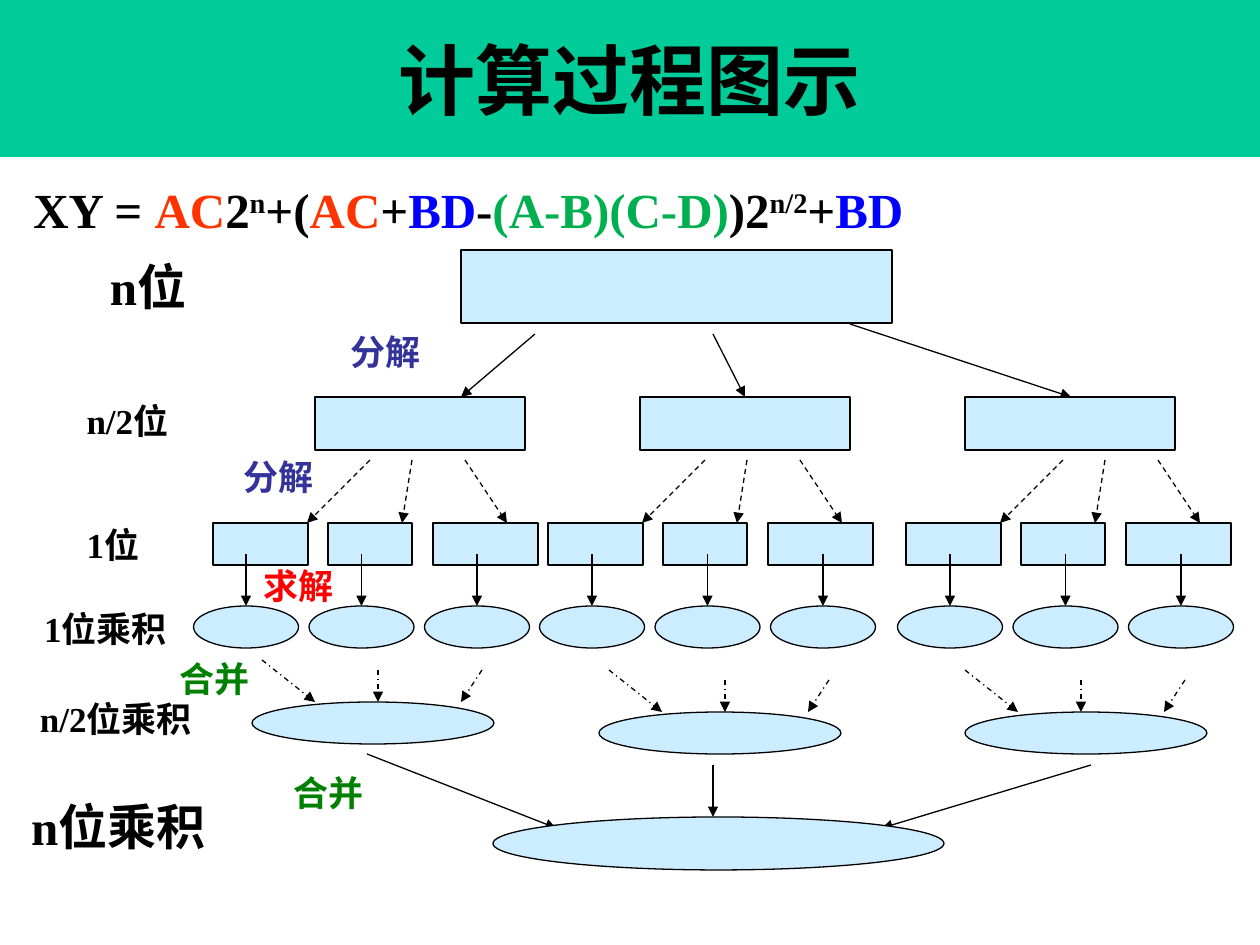
from pptx import Presentation
from pptx.dml.color import RGBColor
from pptx.enum.dml import MSO_LINE
from pptx.enum.shapes import MSO_CONNECTOR, MSO_SHAPE
from pptx.enum.text import MSO_ANCHOR, PP_ALIGN
from pptx.oxml.ns import qn
from pptx.util import Emu, Pt
from lxml import etree

RECT, OVAL = MSO_SHAPE.RECTANGLE, MSO_SHAPE.OVAL
STRAIGHT = MSO_CONNECTOR.STRAIGHT
DASH, DOT = MSO_LINE.DASH, MSO_LINE.DASH_DOT
CENTER, LEFT = PP_ALIGN.CENTER, PP_ALIGN.LEFT
MIDDLE = MSO_ANCHOR.MIDDLE

BLACK = RGBColor(0x00, 0x00, 0x00)
TEAL = RGBColor(0x00, 0xCC, 0x99)
SKY = RGBColor(0xCC, 0xEC, 0xFF)
INDIGO = RGBColor(0x33, 0x33, 0x99)
GREEN = RGBColor(0x00, 0x80, 0x00)
LIME = RGBColor(0x00, 0xB0, 0x50)
RED = RGBColor(0xFF, 0x00, 0x00)
ORANGE = RGBColor(0xFF, 0x33, 0x00)
BLUE = RGBColor(0x00, 0x00, 0xFF)

SERIF, SANS = "Times New Roman", "Noto Sans CJK SC"
SCALE = 914400 / 126

TITLE = "计算过程图示"
FORMULA = [
    ("XY = ", BLACK, 0), ("AC", ORANGE, 0), ("2", BLACK, 0), ("n", BLACK, 30),
    ("+(", BLACK, 0), ("AC", ORANGE, 0), ("+", BLACK, 0), ("BD", BLUE, 0),
    ("-", BLACK, 0), ("(A-B)(C-D)", LIME, 0), (")2", BLACK, 0),
    ("n/2", BLACK, 30), ("+", BLACK, 0), ("BD", BLUE, 0),
]
LEVELS = [
    ("n位", (69, 250, 158, 72), 28),
    ("n/2位", (38, 393, 179, 55), 20),
    ("1位", (18, 517, 190, 55), 20),
    ("1位乘积", (-1, 601, 213, 55), 20),
    ("n/2位乘积", (-5, 691, 242, 55), 20),
    ("n位乘积", (8, 790, 220, 72), 28),
]
STEPS = [
    ("分解", (307, 324, 158, 55), INDIGO),
    ("分解", (200, 449, 158, 55), INDIGO),
    ("求解", (223, 558, 152, 55), RED),
    ("合并", (144, 651, 142, 55), GREEN),
    ("合并", (192, 765, 273, 55), GREEN),
]

ROOT = (461, 250, 431, 73)
SPLITS = [(535, 334, 461, 397), (713, 334, 745, 397), (850, 324, 1071, 397)]
HALVES = [(315 + 325 * i, 397, 210, 53) for i in range(3)]

UNIT_LEFTS = [213, 548, 906]
UNITS = [(0, 95), (115, 84), (220, 105)]
UNIT_SPLITS = [(157, 94), (199, 189), (252, 294)]

SOLVE_MIDS = [246, 592, 950]
SOLVE_STEP = 115.5

MERGES = [(262, 702, -10), (609, 712, -10), (965, 712, 0)]
MERGE_LINES = [(0, 42, 53), (116, 32, 116), (220, 32, 199)]

JOINS = [(367, 754, 556, 828), (713, 765, 713, 817), (1091, 765, 882, 828)]
RESULT = (493, 817, 451, 53)


def px(*vals):
    return [Emu(round(v * SCALE)) for v in vals]


def add_run(para, text, size, color, font=SERIF, base=0):
    run = para.add_run()
    run.text = text
    run.font.size = Pt(size)
    run.font.bold = True
    run.font.name = font
    run.font.color.rgb = color
    props = run._r.get_or_add_rPr()
    etree.SubElement(props, qn("a:ea")).set("typeface", SANS)
    if base:
        props.set("baseline", str(base * 1000))


def add_text(slide, box, runs, size, font=SERIF, align=CENTER):
    frame = slide.shapes.add_textbox(*px(*box)).text_frame
    frame.word_wrap = True
    para = frame.paragraphs[0]
    para.alignment = align
    for text, color, base in runs:
        add_run(para, text, size, color, font, base)


def add_node(slide, kind, box):
    node = slide.shapes.add_shape(kind, *px(*box))
    node.shadow.inherit = False
    node.fill.solid()
    node.fill.fore_color.rgb = SKY
    node.line.color.rgb = BLACK
    node.line.width = Pt(0.75)


def add_arrow(slide, ends, dash=None):
    arrow = slide.shapes.add_connector(STRAIGHT, *px(*ends))
    arrow.line.color.rgb = BLACK
    arrow.line.width = Pt(0.75)
    if dash:
        arrow.line.dash_style = dash
    props = arrow._element.spPr
    etree.SubElement(props.find(qn("a:ln")), qn("a:tailEnd")).set("type", "triangle")
    etree.SubElement(props, qn("a:effectLst"))


def add_title(slide):
    band = slide.shapes.add_shape(RECT, *px(0, 0, 1260, 157))
    band.shadow.inherit = False
    band.fill.solid()
    band.fill.fore_color.rgb = TEAL
    band.line.fill.background()
    band.text_frame.vertical_anchor = MIDDLE
    para = band.text_frame.paragraphs[0]
    para.alignment = CENTER
    add_run(para, TITLE, 44, BLACK)


def add_splits(slide):
    add_node(slide, RECT, ROOT)
    for ends in SPLITS:
        add_arrow(slide, ends)
    for box in HALVES:
        add_node(slide, RECT, box)
    for left in UNIT_LEFTS:
        for start, end in UNIT_SPLITS:
            add_arrow(slide, (left + start, 460, left + end, 523), DASH)
        for shift, width in UNITS:
            add_node(slide, RECT, (left + shift, 523, width, 42))


def add_merges(slide):
    for left, top, shift in MERGES:
        add_node(slide, OVAL, (left + shift, top, 242, 42))
        for start, rise, end in MERGE_LINES:
            add_arrow(slide, (left + start, top - rise, left + end, top), DOT)
    for ends in JOINS:
        add_arrow(slide, ends)
    add_node(slide, OVAL, RESULT)


def add_solves(slide):
    for first in SOLVE_MIDS:
        for i in range(3):
            mid = first + SOLVE_STEP * i
            add_arrow(slide, (mid, 554, mid, 606))
            add_node(slide, OVAL, (mid - 52.5, 606, 105, 42))


def main():
    deck = Presentation()
    deck.slide_width, deck.slide_height = px(1260, 945)
    slide = deck.slides.add_slide(deck.slide_layouts[6])
    add_title(slide)
    add_splits(slide)
    add_merges(slide)
    add_solves(slide)
    for text, box, size in LEVELS:
        add_text(slide, box, [(text, BLACK, 0)], size)
    for text, box, color in STEPS:
        add_text(slide, box, [(text, color, 0)], 20, SANS)
    add_text(slide, (21, 173, 929, 72), FORMULA, 28, align=LEFT)
    deck.save("out.pptx")


if __name__ == "__main__":
    main()
